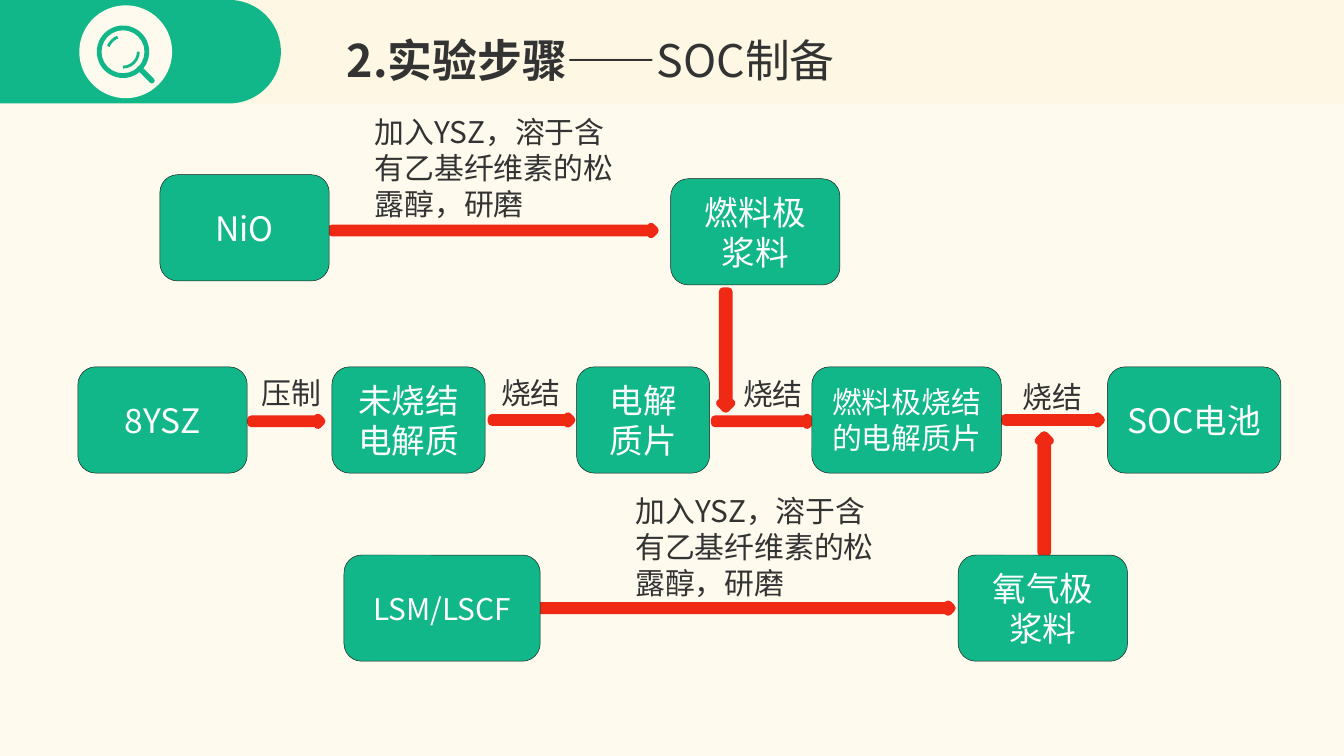
from dataclasses import dataclass
from math import cos, pi, sin

from lxml.etree import SubElement
from pptx import Presentation
from pptx.dml.color import RGBColor
from pptx.enum.shapes import MSO_CONNECTOR, MSO_SHAPE
from pptx.enum.text import MSO_ANCHOR, MSO_AUTO_SIZE, PP_ALIGN
from pptx.oxml.ns import qn
from pptx.shapes.autoshape import Shape
from pptx.slide import Slide
from pptx.text.text import Font
from pptx.util import Inches, Pt


@dataclass(frozen=True)
class Theme:
    font: str = "Noto Sans CJK SC"
    paper: RGBColor = RGBColor(0xFE, 0xFA, 0xEE)
    banner: RGBColor = RGBColor(0xFB, 0xEC, 0xC0)
    green: RGBColor = RGBColor(0x12, 0xB7, 0x89)
    red: RGBColor = RGBColor(0xF0, 0x29, 0x14)
    outline: RGBColor = RGBColor(0x1A, 0x1A, 0x1A)
    text: RGBColor = RGBColor(0x33, 0x33, 0x33)
    white: RGBColor = RGBColor(0xFF, 0xFF, 0xFF)
    title_size: int = 24
    node_size: int = 18
    small_size: int = 16


THEME = Theme()
SLIDE_WIDTH = 10
SLIDE_HEIGHT = SLIDE_WIDTH * 9 / 16
BANNER_HEIGHT = 0.77
NODE_HEIGHT = 0.79
ARROW_THICKNESS = 0.05
MIDDLE_ROW, BOTTOM_ROW = 2.73, 4.13


@dataclass(frozen=True)
class Node:
    text: str
    left: float
    top: float
    width: float = 1.26
    size: int = THEME.node_size


@dataclass(frozen=True)
class Arrow:
    left: float
    top: float
    width: float
    height: float = ARROW_THICKNESS
    kind: MSO_SHAPE = MSO_SHAPE.RIGHT_ARROW


@dataclass(frozen=True)
class Label:
    text: str
    left: float
    top: float
    width: float = 0.65
    height: float = 0.37
    wrap: bool = False


NODES = [
    Node("NiO", 1.19, 1.3),
    Node("燃料极浆料", 4.99, 1.33),
    Node("8YSZ", 0.58, MIDDLE_ROW),
    Node("未烧结电解质", 2.47, MIDDLE_ROW, 1.14),
    Node("电解质片", 4.29, MIDDLE_ROW, 0.99),
    Node("燃料极烧结的电解质片", 6.04, MIDDLE_ROW, 1.41, THEME.small_size),
    Node("SOC电池", 8.24, MIDDLE_ROW, 1.29),
    Node("LSM/LSCF", 2.56, BOTTOM_ROW, 1.46, THEME.small_size),
    Node("氧气极浆料", 7.13, BOTTOM_ROW),
]
ARROWS = [
    Arrow(2.47, 1.69, 2.4),
    Arrow(1.87, 3.11, 0.52),
    Arrow(3.66, 3.1, 0.59),
    Arrow(5.32, 3.11, 0.71),
    Arrow(7.48, 3.1, 0.71),
    Arrow(4.02, 4.5, 3.06),
    Arrow(5.36, 2.17, 0.08, 0.87, MSO_SHAPE.DOWN_ARROW),
    Arrow(7.73, 3.24, 0.08, 0.87, MSO_SHAPE.UP_ARROW),
]
GRINDING = "加入YSZ，溶于含有乙基纤维素的松露醇，研磨"
LABELS = [
    Label(GRINDING, 2.69, 0.8, 2.09, 0.91, True),
    Label(GRINDING, 4.63, 3.62, 2.09, 0.91, True),
    Label("压制", 1.85, 2.74),
    Label("烧结", 3.63, 2.74),
    Label("烧结", 5.43, 2.75),
    Label("烧结", 7.51, 2.77),
]


def style_font(font: Font, size: int, color: RGBColor) -> None:
    """Apply the theme font to Latin and East Asian text alike."""
    font.size = Pt(size)
    font.color.rgb = color
    font.name = THEME.font
    latin = font.fill._xPr.find(qn("a:latin"))
    east_asian = latin.makeelement(qn("a:ea"), {"typeface": THEME.font})
    latin.addnext(east_asian)


def paint(shape: Shape, fill: RGBColor | None = None,
          line: RGBColor | None = None, line_width: float = 0) -> None:
    """Set fill, line and shadow; a colour of None means none is drawn."""
    shape.shadow.inherit = False
    if fill is None:
        shape.fill.background()
    else:
        shape.fill.solid()
        shape.fill.fore_color.rgb = fill
    if line is None:
        shape.line.fill.background()
    else:
        shape.line.color.rgb = line
        shape.line.width = Pt(line_width)


def add_shape(slide: Slide, kind: MSO_SHAPE, left: float, top: float,
              width: float, height: float) -> Shape:
    return slide.shapes.add_shape(kind, Inches(left), Inches(top), Inches(width), Inches(height))


def add_node(slide: Slide, node: Node) -> None:
    shape = add_shape(slide, MSO_SHAPE.ROUNDED_RECTANGLE, node.left, node.top, node.width, NODE_HEIGHT)
    paint(shape, THEME.green, THEME.outline, 0.25)
    frame = shape.text_frame
    frame.text = node.text
    frame.word_wrap = True
    frame.vertical_anchor = MSO_ANCHOR.MIDDLE
    paragraph = frame.paragraphs[0]
    paragraph.alignment = PP_ALIGN.CENTER
    style_font(paragraph.font, node.size, THEME.white)


def add_arrow(slide: Slide, arrow: Arrow) -> None:
    shape = add_shape(slide, arrow.kind, arrow.left, arrow.top, arrow.width, arrow.height)
    paint(shape, line=THEME.red, line_width=4.5)


def add_label(slide: Slide, label: Label) -> None:
    box = slide.shapes.add_textbox(
        Inches(label.left), Inches(label.top), Inches(label.width), Inches(label.height))
    frame = box.text_frame
    frame.text = label.text
    frame.word_wrap = label.wrap
    frame.auto_size = MSO_AUTO_SIZE.SHAPE_TO_FIT_TEXT
    style_font(frame.paragraphs[0].font, THEME.small_size, THEME.text)


def add_banner(slide: Slide) -> None:
    """Draw the pale strip and the green tab with its half-round end."""
    strip = add_shape(slide, MSO_SHAPE.RECTANGLE, 0, 0, SLIDE_WIDTH, BANNER_HEIGHT)
    paint(strip, THEME.banner)
    color = strip.element.spPr.find(qn("a:solidFill"))[0]
    SubElement(color, qn("a:alpha"), val="20000")

    radius, steps = BANNER_HEIGHT / 2, 36
    center = 2.09 - radius
    angles = [pi * step / steps - pi / 2 for step in range(steps + 1)]
    curve = [(Inches(center + radius * cos(angle)), Inches(radius + radius * sin(angle)))
             for angle in angles]
    builder = slide.shapes.build_freeform(0, 0)
    builder.add_line_segments([*curve, (0, Inches(BANNER_HEIGHT))])
    paint(builder.convert_to_shape(), THEME.green)


def add_magnifier(slide: Slide) -> None:
    paint(add_shape(slide, MSO_SHAPE.OVAL, 0.59, 0.04, 0.69, 0.69), THEME.paper)
    lens = add_shape(slide, MSO_SHAPE.DONUT, 0.72, 0.19, 0.39, 0.39)
    lens.adjustments[0] = 0.09
    paint(lens, THEME.green)
    for start, end in [(200, 250), (0, 90)]:
        glint = add_shape(slide, MSO_SHAPE.ARC, 0.8, 0.27, 0.23, 0.23)
        # Angles are stored in 1/60000 degree, adjustments in 1/100000.
        glint.adjustments[0], glint.adjustments[1] = start * 0.6, end * 0.6
        paint(glint, line=THEME.green, line_width=1.5)
    handle = slide.shapes.add_connector(
        MSO_CONNECTOR.STRAIGHT, Inches(1.04), Inches(0.51), Inches(1.13), Inches(0.6))
    handle.line.color.rgb = THEME.green
    handle.line.width = Pt(3)
    properties = handle.element.spPr
    properties.find(qn("a:ln")).set("cap", "rnd")
    SubElement(properties, qn("a:effectLst"))


def set_title(slide: Slide) -> None:
    title = slide.shapes.title
    title.left, title.top = Inches(2.48), Inches(0.19)
    title.width, title.height = Inches(4.65), Inches(0.5)
    frame = title.text_frame
    frame.vertical_anchor = MSO_ANCHOR.TOP
    frame.auto_size = MSO_AUTO_SIZE.SHAPE_TO_FIT_TEXT
    paragraph = frame.paragraphs[0]
    paragraph.alignment = PP_ALIGN.LEFT
    style_font(paragraph.font, THEME.title_size, THEME.text)
    for text, bold in [("2.实验步骤——", True), ("SOC制备", False)]:
        run = paragraph.add_run()
        run.text = text
        run.font.bold = bold
    # Bring the title in front of the translucent banner.
    title.element.getparent().append(title.element)


def main() -> None:
    presentation = Presentation()
    presentation.slide_width = Inches(SLIDE_WIDTH)
    presentation.slide_height = Inches(SLIDE_HEIGHT)
    slide = presentation.slides.add_slide(presentation.slide_layouts[5])
    slide.background.fill.solid()
    slide.background.fill.fore_color.rgb = THEME.paper
    add_banner(slide)
    add_magnifier(slide)
    set_title(slide)
    for arrow in ARROWS:
        add_arrow(slide, arrow)
    for node in NODES:
        add_node(slide, node)
    for label in LABELS:
        add_label(slide, label)
    presentation.save("out.pptx")


if __name__ == "__main__":
    main()
